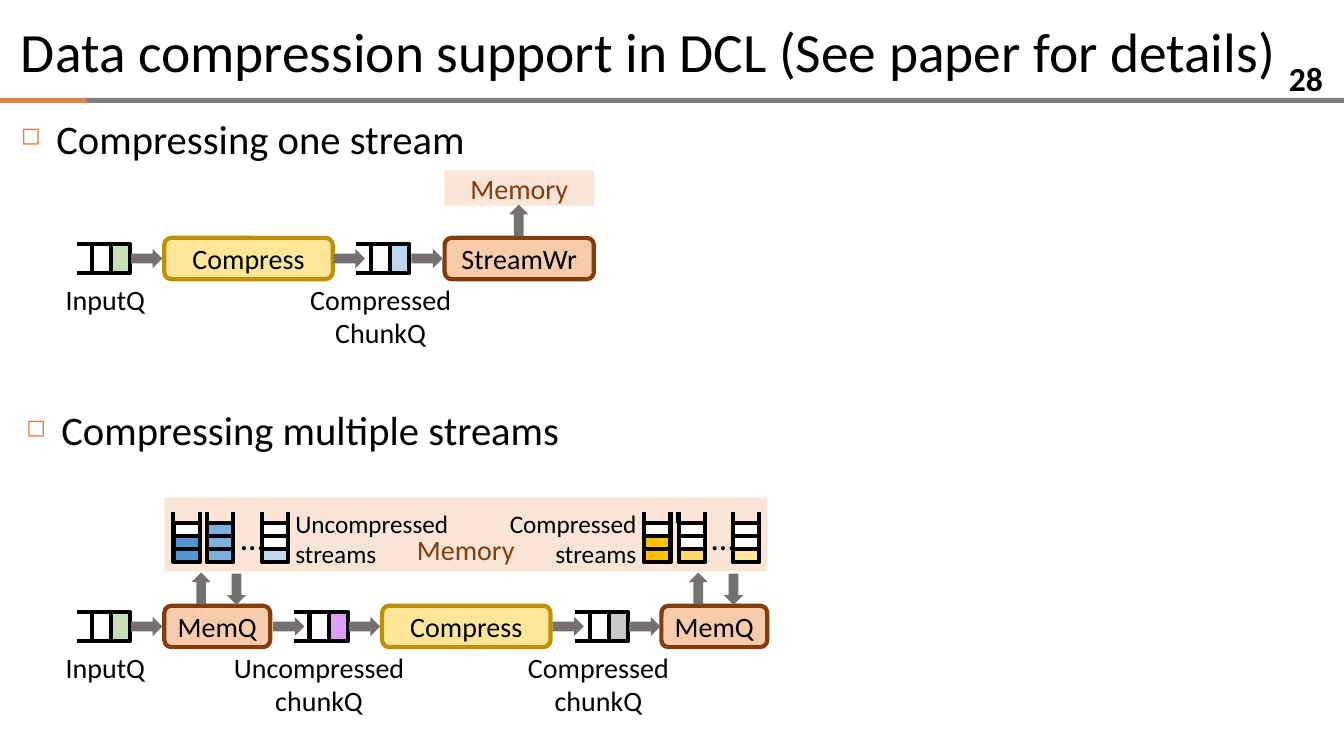
from dataclasses import dataclass

from lxml import etree
from pptx import Presentation
from pptx import util as u
from pptx.dml.color import RGBColor
from pptx.enum import shapes as kinds
from pptx.enum import text as rules
from pptx.oxml import ns

ALIGN = rules.PP_ALIGN
ANCHOR = rules.MSO_ANCHOR
FORM = kinds.MSO_SHAPE


@dataclass(frozen=True)
class Theme:
    font: str = "Calibri"
    ink: str = "000000"
    white: str = "FFFFFF"
    accent: str = "DD8047"
    rule: str = "808080"
    arrow: str = "767171"
    memory: str = "FBE5D6"
    brown: str = "843C0B"
    peach: str = "F8CBAD"
    yellow: str = "FFE699"
    gold: str = "BF9000"
    title: float = 39.6
    heading: float = 29
    number: float = 24
    label: float = 20
    small: float = 18
    stroke: float = 3


THEME = Theme()


@dataclass(frozen=True)
class Queue:
    left: float
    fill: str
    label: str
    label_left: float
    label_width: float


@dataclass(frozen=True)
class Unit:
    left: float
    width: float
    name: str
    fill: str = THEME.peach
    line: str = THEME.brown


@dataclass(frozen=True)
class Arrow:
    left: float
    top: float
    turn: float = 0


@dataclass(frozen=True)
class Stack:
    left: float
    fills: tuple[str, str, str]


@dataclass(frozen=True)
class Pipeline:
    top: float
    queues: tuple[Queue, ...]
    units: tuple[Unit, ...]
    flow: tuple[float, ...]


def write(shape, words: str, *, size: float = THEME.label, color: str = THEME.ink,
          align=ALIGN.LEFT, anchor=ANCHOR.TOP, bold: bool = False):
    frame = shape.text_frame
    frame.word_wrap = True
    frame.vertical_anchor = anchor
    para = frame.paragraphs[0]
    para.alignment = align
    span = para.add_run()
    span.text = words
    span.font.name = THEME.font
    span.font.size = u.Pt(size)
    span.font.bold = bold
    span.font.color.rgb = RGBColor.from_string(color)
    return para


def add_text(shapes, at: tuple, words: str, grow: bool = False, **form):
    box = shapes.add_textbox(*map(u.Inches, at))
    para = write(box, words, **form)
    if grow:
        box.text_frame.auto_size = rules.MSO_AUTO_SIZE.SHAPE_TO_FIT_TEXT
    return para


def add_block(shapes, form, at: tuple, fill: str | None = None,
              line: str | None = None, turn: float = 0):
    block = shapes.add_shape(form, *map(u.Inches, at))
    block.shadow.inherit = False
    block.rotation = turn
    if fill:
        block.fill.solid()
        block.fill.fore_color.rgb = RGBColor.from_string(fill)
    else:
        block.fill.background()
    if line:
        block.line.color.rgb = RGBColor.from_string(line)
        block.line.width = u.Pt(THEME.stroke)
    else:
        block.line.fill.background()
    return block


def add_line(shapes, start: tuple, end: tuple) -> None:
    line = shapes.add_connector(kinds.MSO_CONNECTOR.STRAIGHT, *map(u.Inches, start + end))
    line.line.color.rgb = RGBColor.from_string(THEME.ink)
    line.line.width = u.Pt(THEME.stroke)
    etree.SubElement(line._element.spPr, ns.qn("a:effectLst"))


def add_heading(shapes, left: float, top: float, words: str) -> None:
    para = add_text(shapes, (left, top, 13.11, 0.8), words, size=THEME.heading)
    para.space_before = u.Pt(7)
    props = para._p.get_or_add_pPr()
    props.set("marL", str(u.Inches(0.35)))
    props.set("indent", str(-u.Inches(0.35)))
    color = etree.SubElement(props, ns.qn("a:buClr"))
    etree.SubElement(color, ns.qn("a:srgbClr"), val=THEME.accent)
    etree.SubElement(props, ns.qn("a:buSzPct"), val="60000")
    etree.SubElement(props, ns.qn("a:buChar"), char="◻")


def add_arrow(shapes, arrow: Arrow) -> None:
    add_block(shapes, FORM.RIGHT_ARROW, (arrow.left, arrow.top, 0.31, 0.19),
              THEME.arrow, turn=arrow.turn)


def add_memory(shapes, at: tuple, anchor) -> None:
    box = add_block(shapes, FORM.RECTANGLE, at, THEME.memory)
    write(box, "Memory", color=THEME.brown, align=ALIGN.CENTER, anchor=anchor)


def add_queue(shapes, queue: Queue, top: float) -> None:
    """Draw two cells whose rails stay open on the left, with a label below."""
    cell, height, rail = 0.19, 0.29, 0.15
    for i, fill in enumerate((None, queue.fill)):
        add_block(shapes, FORM.RECTANGLE, (queue.left + i * cell, top, cell, height),
                  fill, THEME.ink)
    for y in (top, top + height):
        add_line(shapes, (queue.left, y), (queue.left - rail, y))
    lines = len(queue.label.split())
    add_text(shapes, (queue.label_left, top + 0.33, queue.label_width, 0.03 + 0.36 * lines),
             queue.label, grow=True, align=ALIGN.CENTER)


def add_stack(shapes, stack: Stack) -> None:
    """Draw three cells, top to bottom, whose sides stay open at the top."""
    top, cell, width, pitch = 5.19, 0.13, 0.26, 0.13
    inset = (width - cell) / 2
    for i, fill in enumerate(stack.fills):
        add_block(shapes, FORM.RECTANGLE,
                  (stack.left + inset, top - inset + i * pitch, cell, width),
                  fill, THEME.ink, turn=90)
    for x in (stack.left, stack.left + width):
        add_line(shapes, (x, top), (x, top - 0.11))


def add_pipeline(shapes, pipeline: Pipeline) -> None:
    for queue in pipeline.queues:
        add_queue(shapes, queue, pipeline.top)
    for unit in pipeline.units:
        box = add_block(shapes, FORM.ROUNDED_RECTANGLE,
                        (unit.left, pipeline.top - 0.06, unit.width, 0.41),
                        unit.fill, unit.line)
        write(box, unit.name, align=ALIGN.CENTER, anchor=ANCHOR.MIDDLE)
    for left in pipeline.flow:
        add_arrow(shapes, Arrow(left, pipeline.top + 0.05))


INPUT = Queue(0.91, "C5E0B4", "InputQ", 0.47, 1.15)
ONE_STREAM = Pipeline(
    2.42,
    (INPUT, Queue(3.68, "BDD7EE", "Compressed ChunkQ", 2.94, 1.67)),
    (Unit(1.63, 1.67, "Compress", THEME.yellow, THEME.gold), Unit(4.41, 1.48, "StreamWr")),
    (1.3, 3.31, 4.08))
MANY_STREAMS = Pipeline(
    6.07,
    (INPUT, Queue(3.07, "DF9DF7", "Uncompressed chunkQ", 2.21, 1.91),
     Queue(5.85, "C9C9C9", "Compressed chunkQ", 4.98, 1.91)),
    (Unit(1.63, 1.05, "MemQ"), Unit(3.79, 1.67, "Compress", THEME.yellow, THEME.gold),
     Unit(6.56, 1.05, "MemQ")),
    (1.3, 2.71, 3.46, 5.48, 6.24))
STACKS = (
    Stack(1.72, (THEME.white, "5195D3", "5195D3")), Stack(2.05, ("7EB0DE",) * 3),
    Stack(2.6, (THEME.white, THEME.white, "BDD7EE")),
    Stack(6.39, (THEME.white, "FFC000", "FFC000")),
    Stack(6.73, (THEME.white, THEME.white, "FFD966")),
    Stack(7.27, (THEME.white, THEME.white, THEME.yellow)))


def main() -> None:
    deck = Presentation()
    deck.slide_width, deck.slide_height = u.Inches(13.33), u.Inches(7.5)
    page = deck.slides.add_slide(deck.slide_layouts[6]).shapes
    add_block(page, FORM.RECTANGLE, (0, 0.97, 0.89, 0.05), THEME.accent)
    add_block(page, FORM.RECTANGLE, (0.86, 0.97, 12.47, 0.05), THEME.rule)
    add_text(page, (0.11, 0.08, 13.11, 0.83),
             "Data compression support in DCL (See paper for details)",
             size=THEME.title, anchor=ANCHOR.MIDDLE)
    add_text(page, (12.22, 0.63, 1, 0.28), "28", size=THEME.number, bold=True,
             align=ALIGN.RIGHT, anchor=ANCHOR.MIDDLE)
    add_heading(page, 0.11, 1.08, "Compressing one stream")
    add_heading(page, 0.16, 3.97, "Compressing multiple streams")

    single = page.add_group_shape().shapes
    add_pipeline(single, ONE_STREAM)
    add_memory(single, (4.41, 1.69, 1.48, 0.35), ANCHOR.MIDDLE)
    add_arrow(single, Arrow(4.99, 2.09, 270))

    multiple = page.add_group_shape().shapes
    add_pipeline(multiple, MANY_STREAMS)
    add_memory(multiple, (1.63, 4.94, 5.98, 0.73), ANCHOR.BOTTOM)
    for stack in STACKS:
        add_stack(multiple, stack)
    for left, words, align in ((2.83, "Uncompressed streams", ALIGN.LEFT),
                               (4.5, "Compressed streams", ALIGN.RIGHT)):
        add_text(multiple, (left, 4.99, 1.91, 0.71), words, grow=True,
                 size=THEME.small, align=align)
    for left in (2.29, 6.96):
        add_text(multiple, (left, 5.08, 0.35, 0.5), "…", grow=True,
                 size=THEME.number, align=ALIGN.CENTER)
    for left in (1.84, 6.77):
        add_arrow(multiple, Arrow(left, 5.74, 270))
        add_arrow(multiple, Arrow(left + 0.35, 5.75, 90))
    deck.save("out.pptx")


if __name__ == "__main__":
    main()
